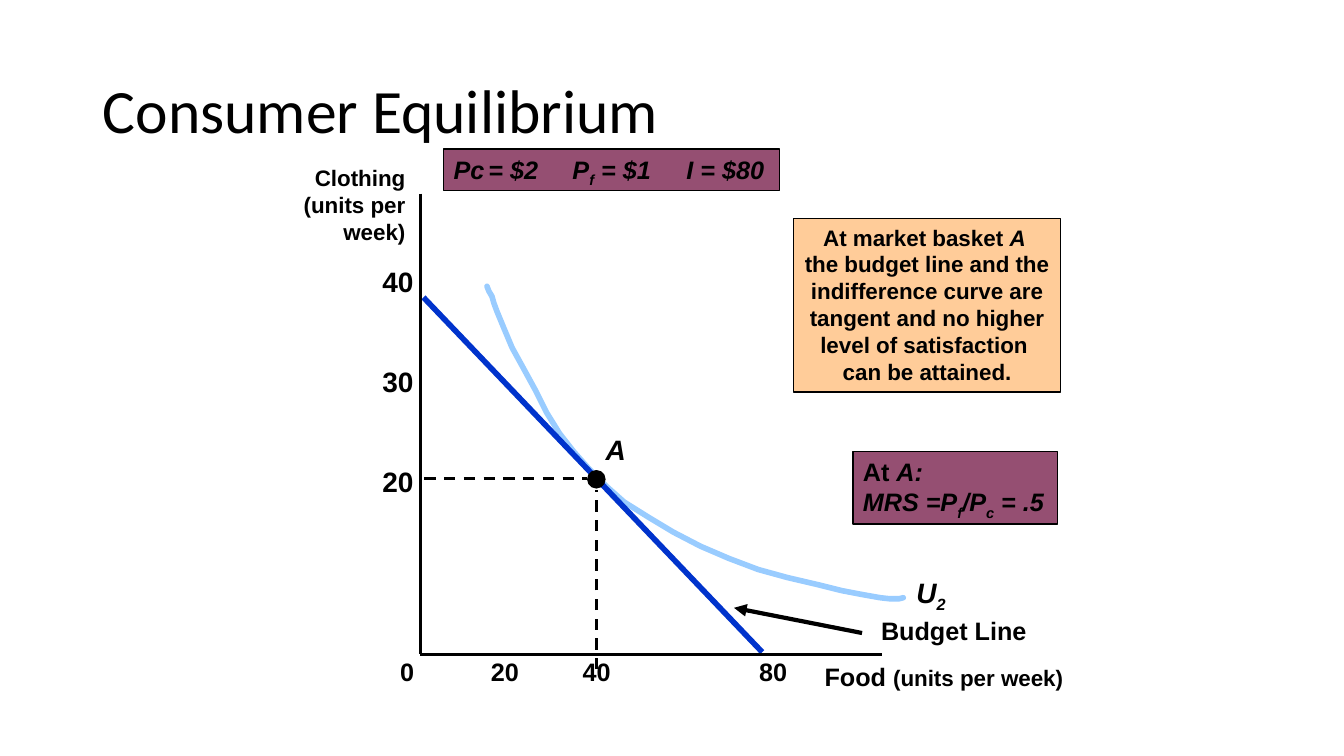
from lxml import etree
from pptx import Presentation
from pptx import util as u
from pptx.dml.color import RGBColor
from pptx.enum import dml, shapes, text
from pptx.oxml import ns

COLORS = {"ink": "000000", "curve": "99CCFF", "budget": "0033CC",
          "plum": "954F72", "peach": "FFCC99"}
ALIGN = text.PP_ALIGN

# Indifference curve, in inches from its upper left end
CURVE = [(0, 0), (0.02, 0.05), (0.05, 0.1), (0.07, 0.17), (0.1, 0.25),
         (0.17, 0.42), (0.25, 0.61), (0.36, 0.81), (0.48, 1.03), (0.59, 1.25),
         (0.72, 1.46), (0.86, 1.64), (1.01, 1.81), (1.18, 1.98), (1.36, 2.14),
         (1.6, 2.29), (1.85, 2.44), (2.12, 2.58), (2.4, 2.7), (2.69, 2.81),
         (2.98, 2.89), (3.28, 2.96), (3.4, 2.99), (3.52, 3.02), (3.73, 3.06),
         (3.9, 3.09), (3.99, 3.1), (4.05, 3.1), (4.09, 3.1), (4.13, 3.09)]


def rgb(name):
    return RGBColor.from_string(COLORS[name])


def inches(*lengths):
    return [u.Inches(length) for length in lengths]


def write(frame, paragraphs, size, align=ALIGN.LEFT, wrap=False):
    """Fill a frame; each paragraph is a list of (words, flags) or
    (words, flags, size), where flag i is italic and s is subscript."""
    frame.word_wrap = wrap
    frame.auto_size = text.MSO_AUTO_SIZE.SHAPE_TO_FIT_TEXT
    frame.vertical_anchor = text.MSO_ANCHOR.TOP
    for index, pieces in enumerate(paragraphs):
        paragraph = frame.add_paragraph() if index else frame.paragraphs[0]
        paragraph.alignment = align
        for words, flags, *own_size in pieces:
            run = paragraph.add_run()
            run.text = words
            run.font.name = "Arial"
            run.font.size = u.Pt(own_size[0] if own_size else size)
            run.font.bold = True
            run.font.italic = "i" in flags
            run.font.color.rgb = rgb("ink")
            if "s" in flags:
                run._r.get_or_add_rPr().set("baseline", "-25000")


def label(slide, box, paragraphs, size=18, align=ALIGN.LEFT):
    caption = slide.shapes.add_textbox(*inches(*box))
    write(caption.text_frame, paragraphs, size, align)


def solid(slide, kind, box, fill):
    shape = slide.shapes.add_shape(kind, *inches(*box))
    shape.shadow.inherit = False
    shape.fill.solid()
    shape.fill.fore_color.rgb = rgb(fill)
    shape.line.color.rgb = rgb("ink")
    shape.line.width = u.Pt(1)
    return shape


def panel(slide, box, fill, paragraphs, size=18, align=ALIGN.LEFT, wrap=False):
    frame = solid(slide, shapes.MSO_SHAPE.RECTANGLE, box, fill).text_frame
    write(frame, paragraphs, size, align, wrap)
    return frame


def straight(slide, start, end, color="ink", width=2, dashed=False, arrow=False):
    line = slide.shapes.add_connector(
        shapes.MSO_CONNECTOR.STRAIGHT, *inches(*start, *end))
    line.line.color.rgb = rgb(color)
    line.line.width = u.Pt(width)
    if dashed:
        line.line.dash_style = dml.MSO_LINE.DASH
    if arrow:
        etree.SubElement(line.line._get_or_add_ln(), ns.qn("a:tailEnd"),
                         type="triangle")
    etree.SubElement(line._element.spPr, ns.qn("a:effectLst"))


def heading(slide, box):
    title = slide.shapes.title
    title.left, title.top, title.width, title.height = inches(*box)
    frame = title.text_frame
    frame.text = "Consumer Equilibrium"
    frame.vertical_anchor = text.MSO_ANCHOR.MIDDLE
    paragraph = frame.paragraphs[0]
    paragraph.alignment = ALIGN.LEFT
    paragraph.line_spacing = 0.9
    font = paragraph.runs[0].font
    font.name, font.size = "Calibri", u.Pt(44)
    font.color.rgb = rgb("ink")


def indifference_curve(slide, left, top):
    points = [inches(left + x, top + y) for x, y in CURVE]
    builder = slide.shapes.build_freeform(*points[0])
    builder.add_line_segments(points[1:], close=False)
    curve = builder.convert_to_shape()
    curve.shadow.inherit = False
    curve.fill.background()
    curve.line.color.rgb = rgb("curve")
    curve.line.width = u.Pt(4)
    curve.line._get_or_add_ln().set("cap", "rnd")
    label(slide, (left + 4.16, top + 2.82, 0.51, 0.43),
          [[("U", "i"), ("2", "is")]], 20)


def graph(slide, left, top, width, height):
    """Draw the axes from the box's left and bottom edges, and all within."""
    bottom = top + height
    basket_x, basket_y = left + 1.75, top + 2.83

    indifference_curve(slide, left + 0.66, top + 0.92)
    straight(slide, (left + 0.03, top + 1.03), (left + 3.39, bottom - 0.02),
             "budget", 4)
    label(slide, (left + 4.47, bottom - 0.43, 1.66, 0.4),
          [[("Budget Line", "")]])
    straight(slide, (left + 4.38, bottom - 0.21), (left + 3.11, bottom - 0.46),
             width=3, arrow=True)

    solid(slide, shapes.MSO_SHAPE.OVAL,
          (basket_x - 0.09, basket_y - 0.08, 0.17, 0.17), "ink")
    label(slide, (basket_x - 0.01, basket_y - 0.51, 0.4, 0.43),
          [[("A", "i")]], 20)
    straight(slide, (left + 0.04, basket_y), (basket_x - 0.1, basket_y),
             dashed=True)
    straight(slide, (basket_x, bottom + 0.15), (basket_x, basket_y + 0.11),
             dashed=True)

    straight(slide, (left, top), (left, bottom))
    straight(slide, (left, bottom), (left + width, bottom))
    label(slide, (left + 3.91, bottom + 0.02, 2.6, 0.4),
          [[("Food ", ""), ("(units per week)", "", 16)]])
    label(slide, (left - 1.27, top - 0.34, 1.22, 0.91),
          [[("Clothing", "")], [("(units per", "")], [("week)", "")]],
          16, ALIGN.RIGHT)

    for food, center, breadth in (("0", -0.13, 0.34), ("20", 0.84, 0.48),
                                  ("40", 1.75, 0.48), ("80", 3.5, 0.48)):
        label(slide, (left + center - breadth / 2, bottom - 0.03, breadth, 0.4),
              [[(food, "")]])
    for step, clothing in enumerate(("40", "30", "20")):
        label(slide, (left - 0.48, top + 0.66 + 0.99 * step, 0.51, 0.43),
              [[(clothing, "")]], 20, ALIGN.RIGHT)


def price_panel(slide, box):
    prices = [("Pc", "i"), (" ", "is"), ("= $2\tP", "i"), ("f", "is"),
              (" = $1\tI = $80", "i")]
    frame = panel(slide, box, "plum", [prices], wrap=True)
    stops = etree.Element(ns.qn("a:tabLst"))
    for position in (1.18, 2.31):
        etree.SubElement(stops, ns.qn("a:tab"), algn="l",
                         pos=str(u.Inches(position)))
    frame.paragraphs[0]._p.get_or_add_pPr().append(stops)


def tangency_panel(slide, box):
    panel(slide, box, "peach",
          [[("At market basket ", ""), ("A ", "i")],
           [("the budget line and the", "")],
           [("indifference curve are", "")],
           [("tangent and no higher", "")],
           [("level of satisfaction ", "")],
           [("can be attained.", "")]], 16, ALIGN.CENTER)


def mrs_panel(slide, box):
    panel(slide, box, "plum",
          [[("At ", ""), ("A:", "i")],
           [("MRS =P", "i"), ("f", "is"), ("/P", "i"), ("c", "is"),
            (" = .5", "i")]])


def main():
    deck = Presentation()
    deck.slide_width, deck.slide_height = inches(13.33, 7.5)
    slide = deck.slides.add_slide(deck.slide_layouts.get_by_name("Title Only"))
    heading(slide, (0.92, 0.4, 11.5, 1.45))
    graph(slide, 4.17, 1.92, 4.58, 4.57)
    price_panel(slide, (4.4, 1.48, 3.33, 0.41))
    tangency_panel(slide, (7.87, 2.17, 2.65, 1.72))
    mrs_panel(slide, (8.46, 4.48, 2.03, 0.72))
    deck.save("out.pptx")


if __name__ == "__main__":
    main()
